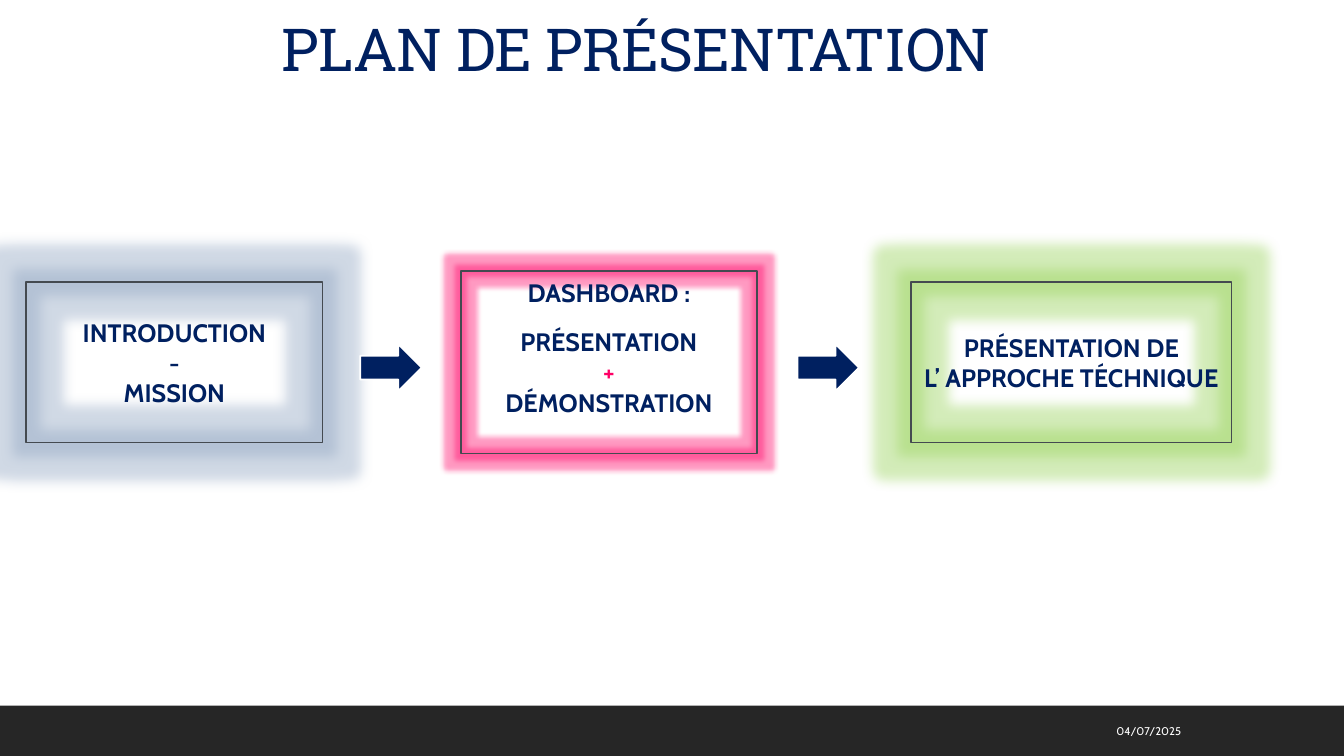
from lxml import etree
from pptx import Presentation
from pptx.dml.color import RGBColor
from pptx.enum import shapes, text
from pptx.oxml import ns
from pptx.util import Cm, Pt

COLORS = {
    "navy": "002060", "pink": "FF0066", "white": "FFFFFF", "footer": "262626",
    "outline": "444A50", "blue_glow": "8AA0BE", "green_glow": "92D050",
}
BODY_FONT, TITLE_FONT = "Cabin", "Roboto Slab"
CENTER = text.PP_ALIGN.CENTER


def rgb(name):
    return RGBColor.from_string(COLORS[name])


def add_figure(page, kind, box, fill=None, line=None):
    figure = page.shapes.add_shape(kind, *map(Cm, box))
    figure.shadow.inherit = False
    if fill:
        figure.fill.solid()
        figure.fill.fore_color.rgb = rgb(fill)
    else:
        figure.fill.background()
    if line:
        figure.line.color.rgb = rgb(line)
        figure.line.width = Pt(1.25)
    else:
        figure.line.fill.background()
    return figure


def add_glow(figure, color, radius):
    effects = figure._element.spPr.find(ns.qn("a:effectLst"))
    glow = etree.SubElement(effects, ns.qn("a:glow"), rad=str(Pt(radius)))
    shade = etree.SubElement(glow, ns.qn("a:srgbClr"), val=COLORS[color])
    etree.SubElement(shade, ns.qn("a:alpha"), val="40000")


def write(para, words, size, color="navy", font=BODY_FONT, bold=False, align=CENTER):
    para.text = words
    para.alignment = align
    span = para.runs[0]
    span.font.name, span.font.size, span.font.bold = font, Pt(size), bold
    span.font.color.rgb = rgb(color)
    return span


def add_title(page, box, words):
    frame = page.shapes.add_textbox(*map(Cm, box)).text_frame
    frame.word_wrap = True
    para = frame.paragraphs[0]
    span = write(para, words, 42.3, font=TITLE_FONT)
    para.line_spacing = 0.8
    span._r.get_or_add_rPr().set("spc", "-50")


def add_footer(page, box, date):
    left, top, width, height = box
    add_figure(page, shapes.MSO_SHAPE.RECTANGLE, box, fill="footer")
    date_box = (left + 22.83, top + 0.13, 7.19, height - 0.25)
    frame = page.shapes.add_textbox(*map(Cm, date_box)).text_frame
    frame.word_wrap = True
    frame.vertical_anchor = text.MSO_ANCHOR.MIDDLE
    write(frame.paragraphs[0], date, 8, "white", align=text.PP_ALIGN.RIGHT)


def add_step(page, box, lines, glow, radius):
    step = add_figure(page, shapes.MSO_SHAPE.RECTANGLE, box, line="outline")
    add_glow(step, glow, radius)
    frame = step.text_frame
    frame.word_wrap = True
    frame.vertical_anchor = text.MSO_ANCHOR.MIDDLE
    for index, words in enumerate(lines):
        para = frame.paragraphs[0] if index == 0 else frame.add_paragraph()
        write(para, words, 18, "pink" if words == "+" else "navy", bold=True)
    return frame


def add_plan(page, box):
    left, top, width, height = box
    middle = top + height / 2

    # Three steps, centred on one horizontal axis
    def step_box(offset, step_width, step_height):
        return left + offset, middle - step_height / 2, step_width, step_height

    add_step(page, step_box(0, 7.47, 4.04),
             ["INTRODUCTION", "-", "MISSION"], "blue_glow", 18)
    dashboard = add_step(page, step_box(10.95, 7.47, 4.6),
                         ["DASHBOARD :", "PRÉSENTATION", "+", "DÉMONSTRATION"], "pink", 8)
    dashboard.paragraphs[1].space_before = Pt(13.5)
    dashboard.margin_bottom = Cm(0.89)
    add_step(page, step_box(22.3, 8.08, 4.04),
             ["PRÉSENTATION DE", "L’ APPROCHE TÉCHNIQUE"], "green_glow", 18)

    # Arrows between the steps
    for offset in (8.42, 19.44):
        add_figure(page, shapes.MSO_SHAPE.RIGHT_ARROW,
                   (left + offset, middle - 0.46, 1.55, 1.19), fill="navy", line="white")


def main():
    deck = Presentation()
    deck.slide_width, deck.slide_height = Cm(33.87), Cm(19.05)
    page = deck.slides.add_slide(deck.slide_layouts[6])
    page.background.fill.solid()
    page.background.fill.fore_color.rgb = rgb("white")
    add_footer(page, (0, 17.78, 33.87, 1.27), "04/07/2025")
    add_title(page, (2.06, 0.53, 27.94, 1.8), "PLAN DE PRÉSENTATION")
    add_plan(page, (0.66, 6.83, 30.38, 4.6))
    deck.save("out.pptx")


if __name__ == "__main__":
    main()
